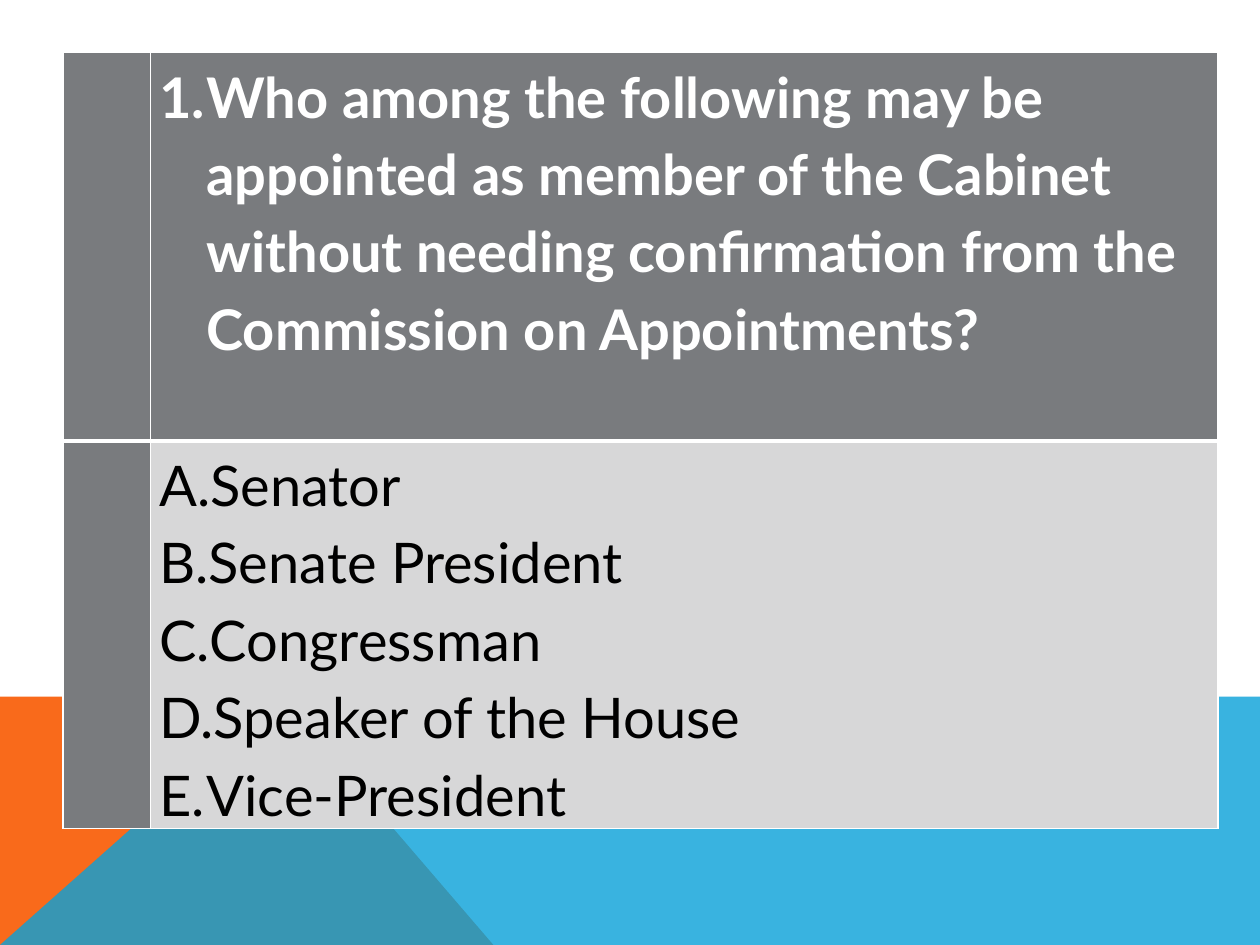
from dataclasses import dataclass

from lxml import etree
from pptx import Presentation, util as u
from pptx.dml.color import RGBColor
from pptx.oxml.ns import qn


@dataclass(frozen=True)
class Theme:
    font: str = "Lato"
    size: int = 32
    line_spacing: float = 1.15
    white: str = "FFFFFF"
    black: str = "000000"
    orange: str = "F96A1B"
    blue: str = "08A1D9"
    header: str = "797B7E"
    answers: str = "D7D7D8"


QUESTION = ("Who among the following may be appointed as member of the Cabinet "
            "without needing confirmation from the Commission on Appointments?")
CHOICES = ["Senator", "Senate President", "Congressman",
           "Speaker of the House", "Vice-President"]


class QuizSlide:
    def __init__(self, slide, theme):
        self.slide = slide
        self.theme = theme

    def band(self, points, color, opacity=100):
        """Draw a closed, unlined outline through points given in pt."""
        start, *rest = points
        outline = self.slide.shapes.build_freeform(*start, scale=u.Pt(1))
        outline.add_line_segments(rest, close=True)
        band = outline.convert_to_shape()
        band.shadow.inherit = False
        band.line.fill.background()
        band.fill.solid()
        band.fill.fore_color.rgb = RGBColor.from_string(color)
        if opacity < 100:
            tint = band.fill._xPr.find(".//" + qn("a:srgbClr"))
            etree.SubElement(tint, qn("a:alpha"), val=str(opacity * 1000))

    def table(self, left, top, columns, rows):
        frame = self.slide.shapes.add_table(
            len(rows), len(columns), u.Pt(left), u.Pt(top),
            u.Pt(sum(columns)), u.Pt(sum(rows)))
        grid = frame.table
        grid.horz_banding = False
        for column, width in zip(grid.columns, columns):
            column.width = u.Pt(width)
        for row, height in zip(grid.rows, rows):
            row.height = u.Pt(height)
        return grid

    def cell(self, cell, fill, top=1, bottom=1):
        """Fill a cell and rule its sides; top and bottom are line widths."""
        properties = cell._tc.get_or_add_tcPr()
        for side, width in {"L": 1, "R": 1, "T": top, "B": bottom}.items():
            line = etree.SubElement(properties, qn(f"a:ln{side}"), w=str(u.Pt(width)))
            paint = etree.SubElement(line, qn("a:solidFill"))
            etree.SubElement(paint, qn("a:srgbClr"), val=self.theme.white)
        cell.fill.solid()
        cell.fill.fore_color.rgb = RGBColor.from_string(fill)

    def numbered(self, cell, items, scheme, color, bold=False, tab=None):
        """Write items with automatic numbers and a hanging indent."""
        margins = {"margin_left": 5, "margin_right": 5,
                   "margin_top": 0, "margin_bottom": 0}
        for name, value in margins.items():
            setattr(cell, name, u.Pt(value))
        font_format = {"name": self.theme.font, "size": u.Pt(self.theme.size),
                       "bold": bold}
        for index, item in enumerate(items):
            frame = cell.text_frame
            paragraph = frame.add_paragraph() if index else frame.paragraphs[0]
            properties = paragraph._p.get_or_add_pPr()
            properties.set("marL", str(u.Pt(27)))
            properties.set("indent", str(-u.Pt(27)))
            etree.SubElement(properties, qn("a:buAutoNum"), type=scheme)
            if tab:
                stops = etree.SubElement(properties, qn("a:tabLst"))
                etree.SubElement(stops, qn("a:tab"), pos=str(u.Pt(tab)), algn="l")
            paragraph.line_spacing = self.theme.line_spacing
            run = paragraph.add_run()
            run.text = item
            for name, value in font_format.items():
                setattr(run.font, name, value)
            run.font.color.rgb = RGBColor.from_string(color)


def main():
    deck = Presentation()
    width, height = 720, 540
    deck.slide_width, deck.slide_height = u.Pt(width), u.Pt(height)
    theme = Theme()
    quiz = QuizSlide(deck.slides.add_slide(deck.slide_layouts[6]), theme)

    horizon, peak = 397.5, 160.5
    quiz.band([(0, height), (0, horizon), (peak, horizon), (281.5, height)],
              theme.orange)
    quiz.band([(0, height), (peak, horizon), (width, horizon), (width, height)],
              theme.blue, opacity=80)

    grid = quiz.table(36, 30, columns=[50, 610], rows=[222, 220])
    for column, answer_fill in enumerate([theme.header, theme.answers]):
        quiz.cell(grid.cell(0, column), theme.header, bottom=3)
        quiz.cell(grid.cell(1, column), answer_fill, top=3)
    quiz.numbered(grid.cell(0, 1), [QUESTION], "arabicPeriod", theme.white, bold=True)
    quiz.numbered(grid.cell(1, 1), CHOICES, "alphaUcPeriod", theme.black, tab=53)

    deck.save("out.pptx")


if __name__ == "__main__":
    main()
